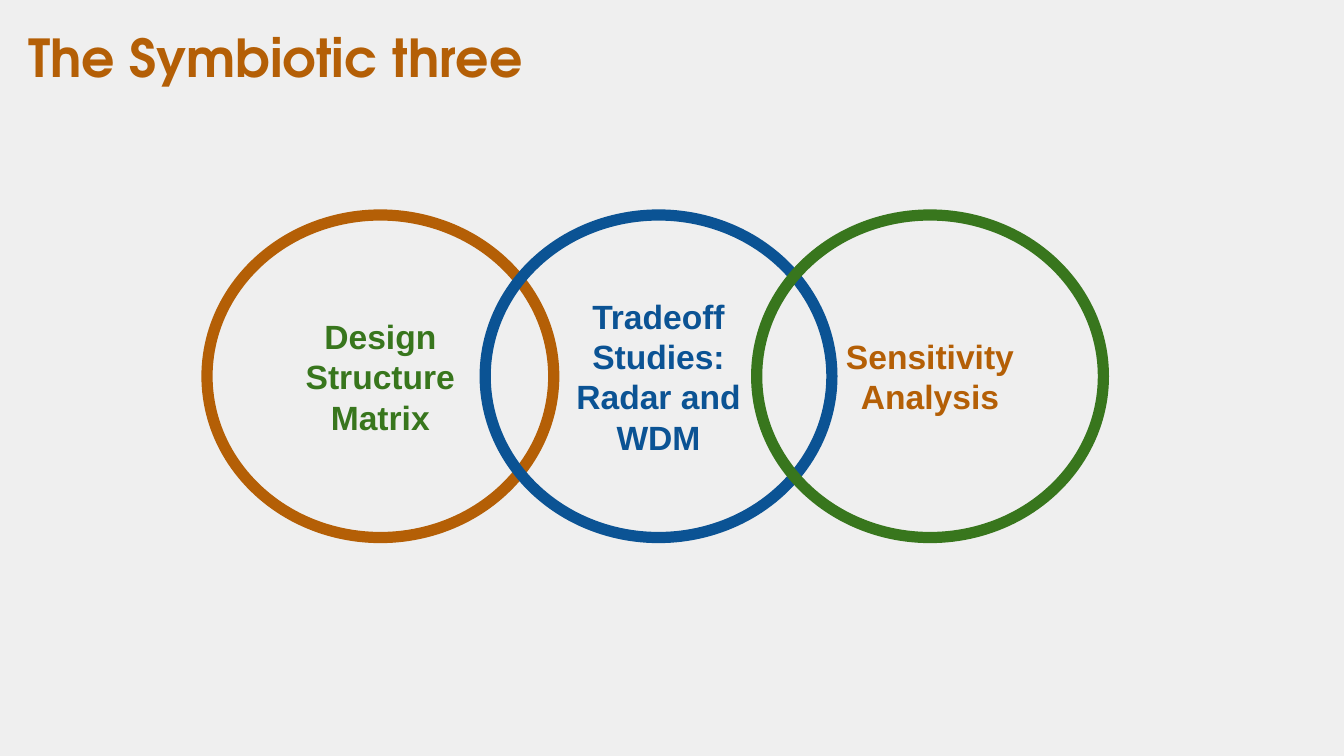
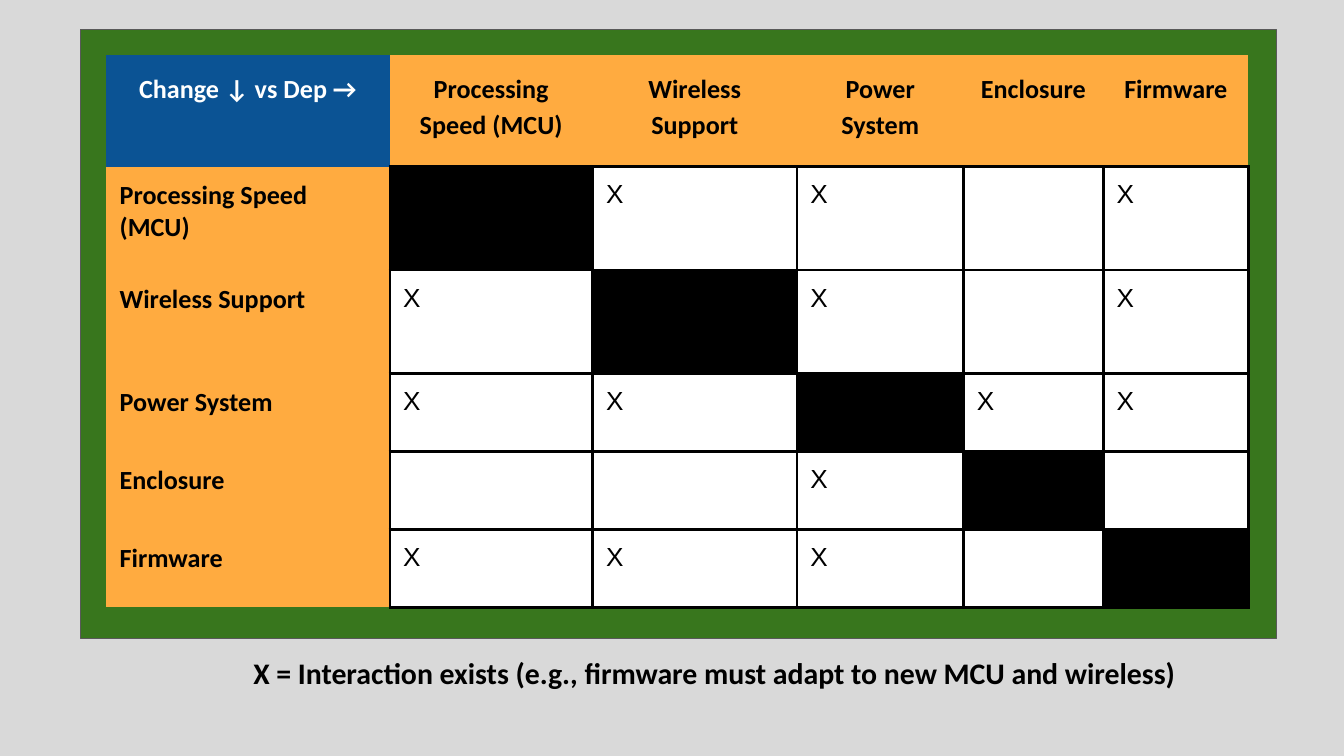
from dataclasses import dataclass
from typing import NamedTuple

from lxml.etree import SubElement
from pptx import Presentation
from pptx.dml.color import RGBColor
from pptx.enum.shapes import MSO_SHAPE as Preset
from pptx.enum.text import MSO_ANCHOR as Anchor, MSO_AUTO_SIZE as AutoSize, PP_ALIGN as Align
from pptx.oxml.ns import qn
from pptx.util import Inches, Length, Pt

SLIDE_WIDTH = Inches(10)
SLIDE_HEIGHT = Length(SLIDE_WIDTH * 9 // 16)
UNIT = SLIDE_WIDTH / 100  # one grid column; rows have the same size
TITLE_ONLY, BLANK = 5, 6


@dataclass(frozen=True)
class Theme:
    orange: str = "B45F06"
    blue: str = "0B5394"
    green: str = "38761D"
    amber: str = "FFAB40"
    black: str = "000000"
    white: str = "FFFFFF"
    outline: str = "595959"
    light_background: str = "EFEFEF"
    grey_background: str = "D9D9D9"
    title_font: str = "TeX Gyre Adventor"
    body_font: str = "Arial"
    table_font: str = "Calibri"
    title_size: int = 28
    ring_size: int = 18
    caption_size: int = 16
    table_size: int = 14
    ring_line: float = 6
    frame_line: float = 0.75
    cell_line: float = 1.5


class Box(NamedTuple):
    """A place on the slide, in grid columns and rows."""
    left: float
    top: float
    width: float
    height: float

    def lengths(self) -> list[Length]:
        return [grid(value) for value in self]


class Ring(NamedTuple):
    label: str
    left: float
    line_colour: str
    text_colour: str


class TextStyle(NamedTuple):
    font: str
    size: int
    colour: str
    bold: bool = True
    align: Align = Align.LEFT


THEME = Theme()

RINGS = [
    Ring("Design Structure Matrix", 15.4, THEME.orange, THEME.green),
    Ring("Tradeoff Studies: Radar and WDM", 36.1, THEME.blue, THEME.blue),
    Ring("Sensitivity Analysis", 56.3, THEME.green, THEME.orange),
]

PARTS = ["Processing Speed (MCU)", "Wireless Support", "Power System", "Enclosure", "Firmware"]
INTERACTIONS = [
    "-XX-X",
    "X-X-X",
    "XX-XX",
    "--X--",
    "XXX--",
]
COLUMN_WIDTHS = [21.1, 15.1, 15.2, 12.4, 10.4, 10.8]
ROW_HEIGHTS = [8.3, 7.7, 7.7, 5.8, 5.8, 5.8]


def grid(units: float) -> Length:
    return Length(round(units * UNIT))


def rgb(colour: str) -> RGBColor:
    return RGBColor.from_string(colour)


def add_slide(presentation: Presentation, layout: int, background: str):
    slide = presentation.slides.add_slide(presentation.slide_layouts[layout])
    paint(slide.background.fill, background)
    return slide


def paint(fill, colour: str) -> None:
    fill.solid()
    fill.fore_color.rgb = rgb(colour)


def set_margins(target) -> None:
    """Give a text frame or table cell the common inner margin."""
    target.margin_left = target.margin_right = grid(1)
    target.margin_top = target.margin_bottom = grid(1)


def write(text_frame, text: str, style: TextStyle):
    text_frame.text = text
    text_frame.word_wrap = True
    paragraph = text_frame.paragraphs[0]
    paragraph.alignment = style.align
    font = paragraph.font
    font.name, font.size, font.bold = style.font, Pt(style.size), style.bold
    font.color.rgb = rgb(style.colour)
    return paragraph


def add_outlined(slide, preset: Preset, box: Box, colour: str, width: float):
    shape = slide.shapes.add_shape(preset, *box.lengths())
    shape.shadow.inherit = False
    shape.fill.background()
    shape.line.color.rgb = rgb(colour)
    shape.line.width = Pt(width)
    return shape


def add_title(slide, text: str, box: Box) -> None:
    title = slide.shapes.title
    title.left, title.top, title.width, title.height = box.lengths()
    frame = title.text_frame
    frame.auto_size = AutoSize.NONE
    frame.vertical_anchor = Anchor.TOP
    set_margins(frame)
    write(frame, text, TextStyle(THEME.title_font, THEME.title_size, THEME.orange))


def add_ring(slide, ring: Ring) -> None:
    box = Box(ring.left, 16, 25.8, 24)
    shape = add_outlined(slide, Preset.OVAL, box, ring.line_colour, THEME.ring_line)
    frame = shape.text_frame
    frame.vertical_anchor = Anchor.MIDDLE
    set_margins(frame)
    write(frame, ring.label,
          TextStyle(THEME.body_font, THEME.ring_size, ring.text_colour, align=Align.CENTER))


def set_borders(cell, sides: str) -> None:
    """Draw the named sides (from "LRTB") and clear the others."""
    properties = cell._tc.get_or_add_tcPr()
    for side in "LRTB":
        line = SubElement(properties, qn(f"a:ln{side}"), w=str(Pt(THEME.cell_line)))
        if side in sides:
            fill = SubElement(line, qn("a:solidFill"))
            SubElement(fill, qn("a:srgbClr"), val=THEME.black)
        else:
            SubElement(line, qn("a:noFill"))


def fill_cell(cell, text: str, fill: str, sides: str, style: TextStyle):
    set_borders(cell, sides)
    paint(cell.fill, fill)
    set_margins(cell)
    return write(cell.text_frame, text, style)


def add_matrix(slide, left: float, top: float) -> None:
    box = Box(left, top, sum(COLUMN_WIDTHS), sum(ROW_HEIGHTS))
    table = slide.shapes.add_table(len(ROW_HEIGHTS), len(COLUMN_WIDTHS), *box.lengths()).table
    table.horz_banding = table.first_row = False
    for column, width in zip(table.columns, COLUMN_WIDTHS):
        column.width = grid(width)
    for row, height in zip(table.rows, ROW_HEIGHTS):
        row.height = grid(height)

    label = TextStyle(THEME.table_font, THEME.table_size, THEME.black)
    heading = label._replace(align=Align.CENTER)
    mark = TextStyle(THEME.body_font, THEME.table_size, THEME.black, bold=False)

    corner = fill_cell(table.cell(0, 0), "Change ↓ vs Dep →", THEME.blue, "",
                       heading._replace(colour=THEME.white))
    corner.line_spacing = 1.15
    for index, part in enumerate(PARTS, start=1):
        paragraph = fill_cell(table.cell(0, index), part, THEME.amber, "B", heading)
        paragraph.line_spacing = 1.15
        fill_cell(table.cell(index, 0), part, THEME.amber, "R", label)
    for row, marks in enumerate(INTERACTIONS, start=1):
        for column, symbol in enumerate(marks, start=1):
            fill = THEME.black if row == column else THEME.white
            fill_cell(table.cell(row, column), symbol.strip("-"), fill, "LRTB", mark)


def add_caption(slide, text: str, box: Box) -> None:
    frame = slide.shapes.add_textbox(*box.lengths()).text_frame
    set_margins(frame)
    frame.margin_left = grid(3.75)
    paragraph = write(frame, text, TextStyle(THEME.table_font, THEME.caption_size, THEME.black))
    paragraph.space_before, paragraph.space_after = Pt(14), Pt(4)


def build_rings_slide(presentation: Presentation) -> None:
    slide = add_slide(presentation, TITLE_ONLY, THEME.light_background)
    add_title(slide, "The Symbiotic three", Box(1.1, 0.9, 62.5, 10.7))
    for ring in RINGS:
        add_ring(slide, ring)


def build_matrix_slide(presentation: Presentation) -> None:
    slide = add_slide(presentation, BLANK, THEME.grey_background)
    frame = add_outlined(slide, Preset.RECTANGLE, Box(6, 2.2, 89, 45.3),
                         THEME.outline, THEME.frame_line)
    paint(frame.fill, THEME.green)
    add_matrix(slide, 7.9, 4.1)
    add_caption(slide, "X = Interaction exists (e.g., firmware must adapt to new MCU and wireless)",
                Box(15.1, 47.7, 75.7, 6.6))


def main() -> None:
    presentation = Presentation()
    presentation.slide_width, presentation.slide_height = SLIDE_WIDTH, SLIDE_HEIGHT
    build_rings_slide(presentation)
    build_matrix_slide(presentation)
    presentation.save("out.pptx")


if __name__ == "__main__":
    main()
